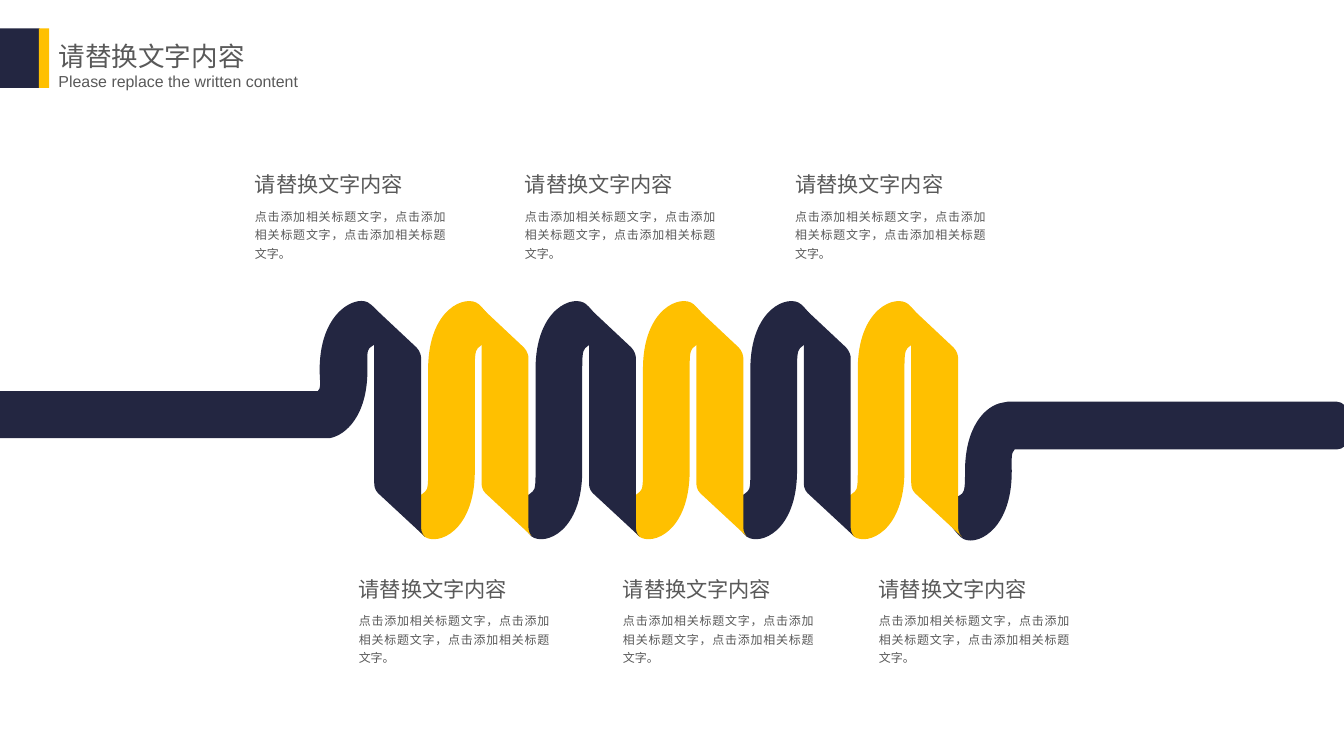
from pptx import Presentation
from pptx import util as u
from pptx.dml.color import RGBColor
from pptx.enum import shapes, text
from pptx.oxml import ns

NAVY = RGBColor(0x23, 0x26, 0x41)
GOLD = RGBColor(0xFF, 0xC0, 0x00)
GREY = RGBColor(0x59, 0x59, 0x59)

HEAD = "请替换文字内容"
BODY = "，".join(["点击添加相关标题文字"] * 3) + "。"
PITCH = 80.9

PANEL = [
    (38.2, 168.5), (38.2, 40.3), (38.2, 38.9, 37.4, 35.3, 34.6, 32.4),
    (33.8, 31.7), (0, 0), (0.7, 0, 2.9, 2.9, 2.9, 6.5), (2.9, 134.6),
    (2.9, 136, 2.9, 139.5, 5.8, 142.4), (6.5, 143), (41, 175),
    (40.3, 174.5, 38.2, 172, 38.2, 168.5),
]
CURL = [
    (-2.2, 125.3), (-2.2, 49.7), (-2.2, 41, -2.2, 35.3, 0, 33.1),
    (6.5, 26.6, 13, 30.2, 14.4, 25.2), (16.6, 18.7, 6.5, 5, 0.7, 0),
    (-8.6, -7.9, -37.4, 2.9, -37.4, 49), (-37.4, 125.3),
    (-37.4, 133.9, -37.4, 139.7, -39.6, 141.1),
    (-46.1, 147.6, -52.6, 144.7, -54, 149),
    (-56.2, 155.5, -46.1, 169.2, -40.3, 175),
    (-30.2, 182.2, -2.2, 171.4, -2.2, 125.3),
]
LEFT = [
    (-9.4, -2.2), (-5.8, -2.9, -2.2, -2.2, 0, 0),
    (6.5, 5, 16.6, 18.7, 14.4, 25.2), (13, 30.2, 6.5, 26.6, -0.7, 33.1),
    (-2.9, 35.3, -2.2, 41, -2.2, 49.7),
    (-2.2, 84.2, -18.7, 98.6, -30.2, 100.8),
    (-279, 100.8), (-279, 65.5), (-39.6, 65.5), (-38.2, 63.4),
    (-37.4, 60.5, -38.2, 55.4, -38.2, 49.7),
    (-38.2, 15.1, -21.6, 0, -9.4, -2.2),
]
RIGHT = [
    (-5.2, 73.4), (242.5, 73.4), (246.8, 73.4, 251.2, 77.8, 251.2, 82.1),
    (251.2, 100.8), (251.2, 105.8, 246.8, 109.4, 242.5, 109.4),
    (-0.1, 109.4), (-3, 111.6, -2.3, 117.4, -2.3, 126),
    (-2.3, 172.1, -31.1, 183.6, -40.4, 175.7),
    (-46.2, 170.6, -56.2, 157, -54, 149.8),
    (-52.6, 145.4, -46.1, 148.3, -39.6, 142.6),
    (-37.5, 140.4, -37.5, 134.6, -37.5, 126),
    (-37.5, 91.4, -21.7, 76.3, -9.5, 74.2), (-5.2, 73.4),
]


def paint(shape, color):
    """Give a shape a plain fill with no line or shadow."""
    shape.shadow.inherit = False
    shape.fill.solid()
    shape.fill.fore_color.rgb = color
    shape.line.fill.background()


def curve(shape, parts):
    """Merge each run of three line points into one cubic curve."""
    lines = iter(list(shape.element.iter(ns.qn("a:lnTo"))))
    for part in parts:
        line = next(lines)
        if len(part) == 6:
            line.tag = ns.qn("a:cubicBezTo")
            for _ in range(2):
                extra = next(lines)
                line.append(extra[0])
                extra.getparent().remove(extra)


def band(slide, track, left, top, color):
    """Draw one piece of the rope, whose parts are lines or cubic curves."""
    spots = [(u.Pt(left + part[i]), u.Pt(top + part[i + 1]))
             for part in track for i in range(0, len(part), 2)]
    form = slide.shapes.build_freeform(*spots[0])
    form.add_line_segments(spots[1:], close=True)
    shape = form.convert_to_shape()
    curve(shape, track[1:])
    paint(shape, color)


def rope(slide, left, top, count):
    """Draw the coiled rope from right to left."""
    band(slide, RIGHT, left + count * PITCH, top, NAVY)
    for turn in reversed(range(count)):
        side = left + turn * PITCH
        color = GOLD if turn % 2 else NAVY
        band(slide, CURL if turn else LEFT, side, top, color)
        band(slide, PANEL, side, top, color)


def label(slide, box, words, size, face, wrap=True, **form):
    """Write one paragraph in a text box."""
    frame = slide.shapes.add_textbox(*map(u.Pt, box)).text_frame
    frame.word_wrap = wrap
    frame.auto_size = text.MSO_AUTO_SIZE.SHAPE_TO_FIT_TEXT
    para = frame.paragraphs[0]
    run = para.add_run()
    run.text = words
    for name, value in form.items():
        setattr(para, name, value)
    for name, value in {"size": u.Pt(size), "name": face}.items():
        setattr(run.font, name, value)
    run.font.color.rgb = GREY


def note(slide, left, top):
    """Place a heading with its text below."""
    label(slide, (left, top, 147, 26.6), HEAD, 16, "Calibri")
    label(slide, (left, top + 24.9, 157.5, 49.6), BODY, 9, "Arial",
          alignment=text.PP_ALIGN.JUSTIFY, line_spacing=1.3)


def header(slide, left, top):
    """Place the title, subtitle and corner blocks."""
    label(slide, (left + 37, top - 7.2, 156, 39.6), HEAD, 20, "Calibri",
          wrap=False, line_spacing=1.5)
    label(slide, (left + 37, top + 21.6, 196.5, 26.6),
          "Please replace the written content", 12, "Arial",
          wrap=False, line_spacing=1.5)
    for shift, width, color in ((0, 30, NAVY), (29.3, 7.7, GOLD)):
        box = (left + shift, top, width, 44.8)
        block = slide.shapes.add_shape(shapes.MSO_SHAPE.RECTANGLE, *map(u.Pt, box))
        paint(block, color)


def main():
    """Build the slide and save it."""
    deck = Presentation()
    deck.slide_width, deck.slide_height = u.Pt(1012.3), u.Pt(569.5)
    slide = deck.slides.add_slide(deck.slide_layouts[6])
    rope(slide, 279, 229.2, 6)
    for top, sides in ((125.9, (185, 388.3, 591.8)), (430.6, (263.2, 462.2, 654.9))):
        for left in sides:
            note(slide, left, top)
    header(slide, 0, 21.5)
    deck.save("out.pptx")


if __name__ == "__main__":
    main()
